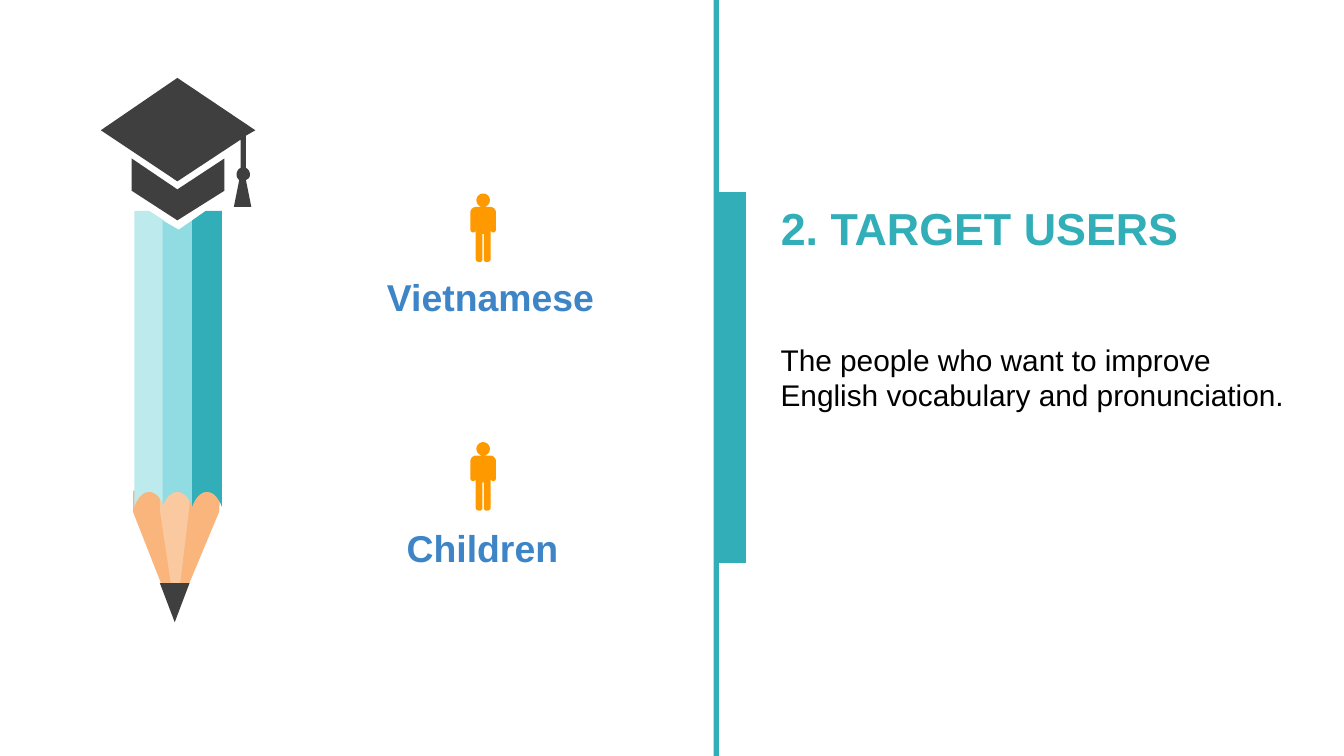
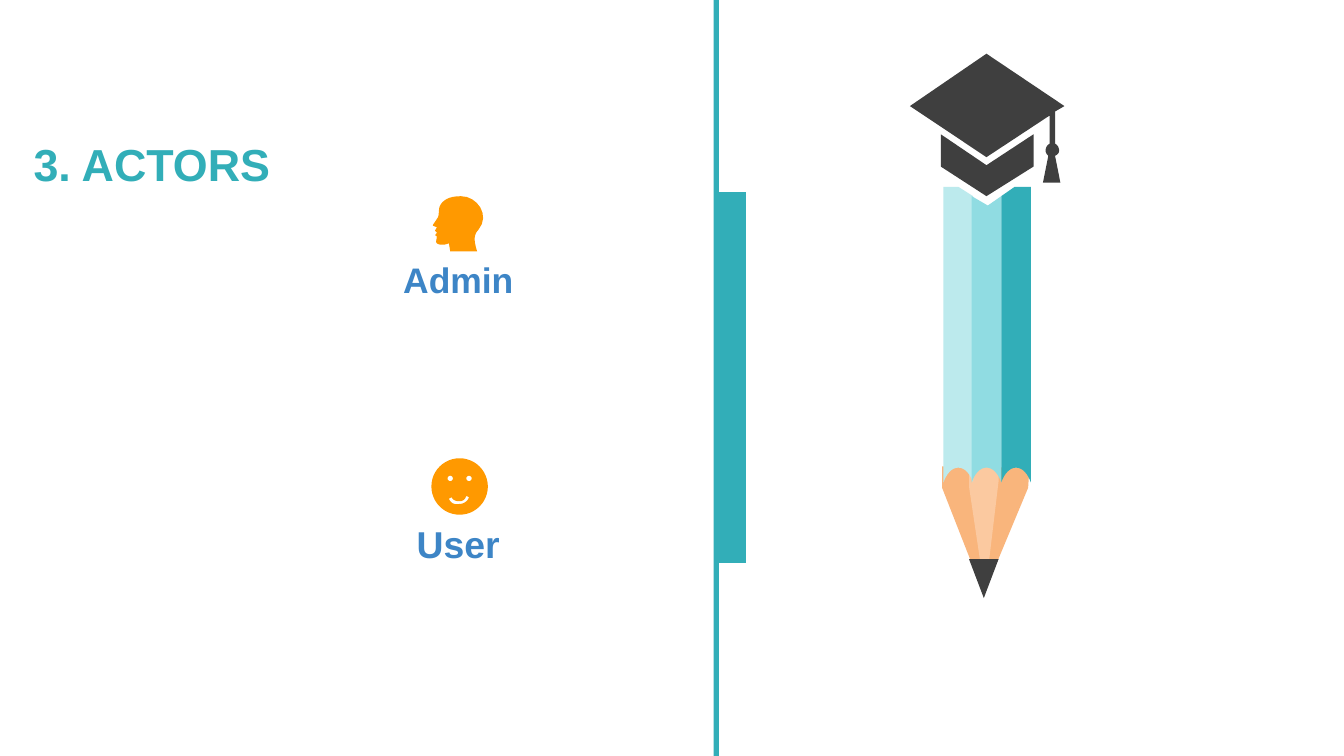
from dataclasses import dataclass
from math import cos, pi, sin

from pptx import Presentation
from pptx.dml.color import RGBColor
from pptx.enum import shapes, text
from pptx.util import Inches, Pt

SLIDE_WIDTH = 10
SLIDE_HEIGHT = SLIDE_WIDTH * 9 / 16
COLORS = {
    "teal": "32AEB8",
    "mid_teal": "90DCE2",
    "pale_teal": "BCEAED",
    "blue": "3D85C6",
    "orange": "FF9900",
    "wood": "F9B57C",
    "pale_wood": "FBC9A0",
    "charcoal": "3F3F3F",
    "black": "000000",
}
FONT = "Arial"

# A step is a line end (x, y) or a cubic curve (x1, y1, x2, y2, x, y).
Step = tuple[float, ...]
Contour = list[Step]


@dataclass(frozen=True)
class Box:
    left: float
    top: float
    width: float
    height: float

    def lengths(self) -> tuple[int, int, int, int]:
        return Inches(self.left), Inches(self.top), Inches(self.width), Inches(self.height)


@dataclass(frozen=True)
class TextStyle:
    size: float
    color: str
    bold: bool = False
    align: text.PP_ALIGN = text.PP_ALIGN.LEFT
    space_before: float = 0


@dataclass(frozen=True)
class Stripe:
    left: float
    top_edge: Contour
    color: str


@dataclass(frozen=True)
class Audience:
    """A captioned icon."""
    caption: str
    box: Box
    icon: list[Contour]
    icon_left: float
    icon_top: float
    size: float = 20


TITLE = TextStyle(24, "teal", bold=True)
BODY = TextStyle(16, "black", space_before=6)
BANDS = [Box(5.31, 0, 0.04, SLIDE_HEIGHT), Box(5.35, 1.43, 0.2, 2.76)]


def flatten(contour: Contour, pieces: int = 8) -> Contour:
    """Replace each curve by short straight pieces."""
    points: Contour = []
    for step in contour:
        if len(step) == 2:
            points.append(step)
            continue
        x0, y0 = points[-1]
        x1, y1, x2, y2, x3, y3 = step
        for piece in range(1, pieces + 1):
            t = piece / pieces
            a, b, c, d = (1 - t) ** 3, 3 * t * (1 - t) ** 2, 3 * t * t * (1 - t), t ** 3
            points.append((a * x0 + b * x1 + c * x2 + d * x3,
                           a * y0 + b * y1 + c * y2 + d * y3))
    return points


def circle(x: float, y: float, radius: float, sides: int = 48) -> Contour:
    angles = [2 * pi * side / sides for side in range(sides)]
    return [(x + radius * cos(angle), y + radius * sin(angle)) for angle in angles]


def person_icon() -> list[Contour]:
    width = 0.19
    right = flatten([
        (width / 2, 0.1), (0.15, 0.1), (0.17, 0.1, 0.19, 0.12, 0.19, 0.14),
        (0.19, 0.27), (0.19, 0.28, 0.18, 0.29, 0.17, 0.29),
        (0.16, 0.29, 0.15, 0.28, 0.15, 0.27), (0.15, 0.18),
        (0.15, 0.49), (0.15, 0.5, 0.14, 0.51, 0.12, 0.51),
        (0.11, 0.51, 0.1, 0.5, 0.1, 0.49), (0.1, 0.3), (width / 2, 0.3),
    ])
    left = [(width - x, y) for x, y in reversed(right)]
    return [right + left, circle(width / 2, 0.05, 0.05)]


PERSON = person_icon()
HEAD = [[
    (0.21, 0), (0.12, 0, 0.07, 0.03, 0.05, 0.08), (0.04, 0.13, 0.05, 0.15, 0.03, 0.17),
    (0.02, 0.19, 0, 0.21, 0, 0.22), (0.01, 0.22, 0.02, 0.23, 0.03, 0.23),
    (0.03, 0.24, 0.01, 0.26, 0.02, 0.26), (0.03, 0.27), (0.03, 0.28, 0.02, 0.28, 0.02, 0.29),
    (0.02, 0.3, 0.04, 0.3, 0.03, 0.3), (0.03, 0.32, 0.02, 0.34, 0.03, 0.35),
    (0.04, 0.36, 0.08, 0.37, 0.12, 0.35), (0.13, 0.41), (0.33, 0.41),
    (0.3, 0.32, 0.31, 0.28, 0.34, 0.25), (0.43, 0.14, 0.33, 0, 0.21, 0),
]]
SMILEY = [
    circle(0.21, 0.21, 0.21),
    circle(0.14, 0.15, 0.02),
    circle(0.28, 0.15, 0.02),
    [(0.26, 0.28), (0.25, 0.31, 0.23, 0.32, 0.21, 0.32), (0.18, 0.32, 0.16, 0.31, 0.15, 0.29),
     (0.13, 0.3), (0.14, 0.33, 0.17, 0.35, 0.21, 0.34), (0.24, 0.34, 0.27, 0.32, 0.28, 0.29)],
]

WOOD = [(0.24, 3.07), (0.89, 3.08), (0.88, 3.23), (0.55, 4.02), (0.24, 3.23)]
WOOD_CORE = [(0.44, 3.07), (0.66, 3.07), (0.66, 3.18), (0.56, 4.02), (0.44, 3.22)]
STRIPES = [
    Stripe(0.25, [(0.25, 0.99), (0.36, 0.99), (0.47, 1.06)], "pale_teal"),
    Stripe(0.46, [(0.46, 1.06), (0.58, 1.13), (0.68, 1.06)], "mid_teal"),
    Stripe(0.68, [(0.68, 1.06), (0.78, 0.99), (0.9, 0.99)], "teal"),
]
CAP = [
    [(0.23, 0.6), (0.57, 0.83), (0.92, 0.6), (0.92, 0.84), (0.57, 1.06), (0.23, 0.84)],
    [(0.57, 0), (1.15, 0.39), (1.08, 0.43), (1.08, 0.67),
     (1.1, 0.68, 1.11, 0.7, 1.11, 0.72), (1.11, 0.74, 1.1, 0.75, 1.08, 0.76),
     (1.12, 0.96), (0.99, 0.96), (1.03, 0.76),
     (1.02, 0.75, 1.01, 0.74, 1.01, 0.72), (1.01, 0.7, 1.02, 0.68, 1.04, 0.67),
     (1.04, 0.46), (0.57, 0.77), (0, 0.39)],
]


def paint(shape, color: str) -> None:
    shape.shadow.inherit = False
    shape.fill.solid()
    shape.fill.fore_color.rgb = RGBColor.from_string(COLORS[color])
    shape.line.fill.background()


def add_preset(parent, preset: shapes.MSO_SHAPE, box: Box, color: str):
    shape = parent.shapes.add_shape(preset, *box.lengths())
    paint(shape, color)
    return shape


def add_outline(parent, contours: list[Contour], left: float, top: float, color: str) -> None:
    """Draw contours measured from (left, top) as one filled freeform."""
    builder = None
    for contour in contours:
        start, *others = [(Inches(left + x), Inches(top + y)) for x, y in flatten(contour)]
        if builder is None:
            builder = parent.shapes.build_freeform(*start)
        else:
            builder.move_to(*start)
        builder.add_line_segments(others, close=True)
    paint(builder.convert_to_shape(), color)


def write(shape, words: str, style: TextStyle) -> None:
    frame = shape.text_frame
    frame.word_wrap = True
    frame.auto_size = text.MSO_AUTO_SIZE.NONE
    frame.vertical_anchor = text.MSO_ANCHOR.TOP
    frame.text = words
    paragraph = frame.paragraphs[0]
    paragraph.alignment = style.align
    paragraph.space_before = Pt(style.space_before)
    font = paragraph.font
    font.name, font.size, font.bold = FONT, Pt(style.size), style.bold
    font.color.rgb = RGBColor.from_string(COLORS[style.color])


def add_text(slide, words: str, box: Box, style: TextStyle) -> None:
    write(slide.shapes.add_textbox(*box.lengths()), words, style)


def add_slide(presentation, title: str, box: Box):
    """Add a slide with the teal divider and its title."""
    slide = presentation.slides.add_slide(presentation.slide_layouts[5])
    for band in BANDS:
        add_preset(slide, shapes.MSO_SHAPE.RECTANGLE, band, "teal")
    placeholder = slide.shapes.title
    placeholder.left, placeholder.top, placeholder.width, placeholder.height = box.lengths()
    write(placeholder, title, TITLE)
    return slide


def add_audience(slide, audience: Audience) -> None:
    style = TextStyle(audience.size, "blue", True, text.PP_ALIGN.CENTER, 6)
    add_text(slide, audience.caption, audience.box, style)
    add_outline(slide, audience.icon, audience.icon_left, audience.icon_top, "orange")


def add_pencil(slide, left: float, top: float) -> None:
    """Draw the pencil wearing a graduation cap."""
    group = slide.shapes.add_group_shape()
    add_outline(group, [WOOD], left, top, "wood")
    add_outline(group, [WOOD_CORE], left, top, "pale_wood")
    for stripe in STRIPES:
        x = stripe.left
        scallop = [(x + 0.22, 3.19),
                   (x + 0.2, 3.13, x + 0.16, 3.08, x + 0.11, 3.08),
                   (x + 0.06, 3.08, x + 0.02, 3.13, x, 3.19)]
        add_outline(group, [stripe.top_edge + scallop], left, top, stripe.color)
    lead = add_preset(group, shapes.MSO_SHAPE.ISOSCELES_TRIANGLE,
                      Box(left + 0.44, top + 3.76, 0.22, 0.29), "charcoal")
    lead.rotation = 180
    add_outline(group, CAP, left, top, "charcoal")


def build_target_users(presentation) -> None:
    slide = add_slide(presentation, "2. TARGET USERS", Box(5.71, 1.44, 3.86, 1.06))
    add_text(slide, "The people who want to improve English vocabulary and pronunciation.",
             Box(5.71, 2.49, 4.09, 1.72), BODY)
    add_audience(slide, Audience("Vietnamese", Box(2.59, 1.99, 2.12, 0.51), PERSON, 3.5, 1.44))
    add_audience(slide, Audience("Children", Box(2.79, 3.86, 1.6, 0.3), PERSON, 3.5, 3.29))
    add_pencil(slide, 0.75, 0.58)


def build_actors(presentation) -> None:
    slide = add_slide(presentation, "3. ACTORS", Box(0.15, 0.97, 2.24, 1.06))
    add_audience(slide, Audience("Admin", Box(2.61, 1.87, 1.6, 0.3), HEAD, 3.22, 1.46, 19))
    add_audience(slide, Audience("User", Box(2.61, 3.83, 1.6, 0.3), SMILEY, 3.21, 3.41))
    add_pencil(slide, 6.77, 0.4)


def main() -> None:
    presentation = Presentation()
    presentation.slide_width = Inches(SLIDE_WIDTH)
    presentation.slide_height = Inches(SLIDE_HEIGHT)
    build_target_users(presentation)
    build_actors(presentation)
    presentation.save("out.pptx")


if __name__ == "__main__":
    main()
